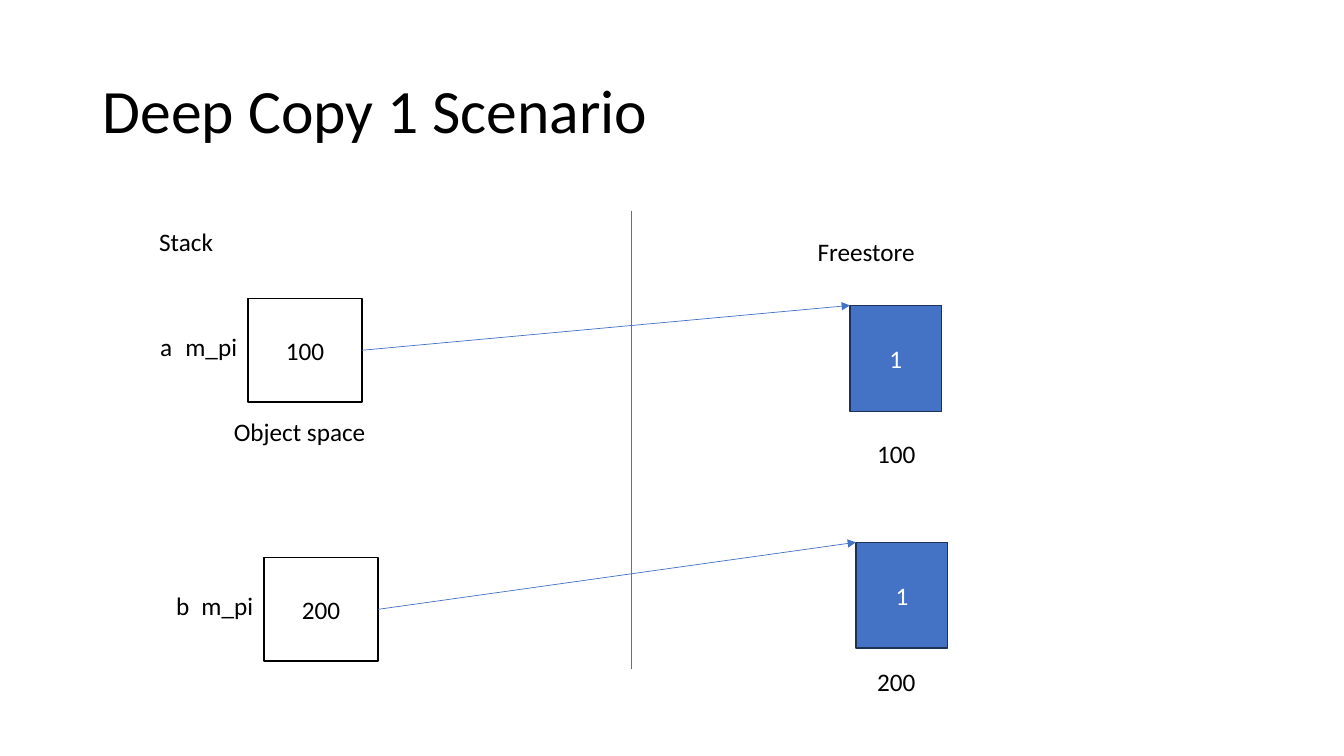
from lxml.etree import SubElement
from pptx import Presentation
from pptx.dml.color import RGBColor
from pptx.enum.shapes import MSO_CONNECTOR as CONN, MSO_SHAPE as SHAPE
from pptx.enum.text import MSO_ANCHOR as ANCHOR, MSO_AUTO_SIZE as AUTO, PP_ALIGN as ALIGN
from pptx.oxml.ns import qn
from pptx.util import Emu, Pt

FONT = "Calibri"
BLACK, WHITE, BLUE, NAVY = "000000", "FFFFFF", "4472C4", "1E3256"
LABEL_H = 40


def px(n):
    """Turn px, 100 to the inch, into EMU."""
    return Emu(n * 9144)


def color(hex_code):
    """Turn a hex string into a colour."""
    return RGBColor.from_string(hex_code)


def add_run(p, text, size=18, ink=BLACK):
    """Add one formatted run to a paragraph."""
    r = p.add_run()
    r.text = text
    r.font.name = FONT
    r.font.size = Pt(size)
    r.font.color.rgb = color(ink)


def add_label(slide, x, y, w, text):
    """Add a one-line label."""
    sp = slide.shapes.add_textbox(px(x), px(y), px(w), px(LABEL_H))
    tf = sp.text_frame
    tf.word_wrap = False
    tf.auto_size = AUTO.SHAPE_TO_FIT_TEXT
    add_run(tf.paragraphs[0], text)


def add_cell(slide, box, text, fill, line, ink):
    """Add a memory cell with a centred value."""
    sp = slide.shapes.add_shape(SHAPE.RECTANGLE, *map(px, box))
    sp.shadow.inherit = False
    sp.fill.solid()
    sp.fill.fore_color.rgb = color(fill)
    sp.line.color.rgb = color(line)
    sp.line.width = Pt(1)
    tf = sp.text_frame
    tf.vertical_anchor = ANCHOR.MIDDLE
    p = tf.paragraphs[0]
    p.alignment = ALIGN.CENTER
    add_run(p, text, ink=ink)
    return sp


def add_line(slide, x1, y1, x2, y2):
    """Add a thin straight line without shadow."""
    cx = slide.shapes.add_connector(CONN.STRAIGHT, px(x1), px(y1), px(x2), px(y2))
    cx.line.color.rgb = color(BLUE)
    cx.line.width = Pt(0.5)
    SubElement(cx._element.spPr, qn("a:effectLst"))
    return cx


def add_title(slide, box, text):
    """Place and fill the title placeholder."""
    sp = slide.shapes.title
    sp.left, sp.top, sp.width, sp.height = map(px, box)
    tf = sp.text_frame
    tf.auto_size = AUTO.NONE
    tf.vertical_anchor = ANCHOR.MIDDLE
    p = tf.paragraphs[0]
    p.alignment = ALIGN.LEFT
    p.line_spacing = 0.9
    add_run(p, text, 44)


def add_pointer(slide, stack_box, store_box, name, address, address_y):
    """Draw an object on the stack pointing to its value on the freestore."""
    x, y, w, h = stack_box
    store_x, store_y = store_box[:2]
    pointer = add_cell(slide, stack_box, address, WHITE, BLACK, BLACK)
    add_label(slide, x - 97, y + 28, 33, name)
    add_label(slide, x - 72, y + 28, 72, "m_pi")
    add_cell(slide, store_box, "1", BLUE, NAVY, WHITE)
    add_label(slide, 860, address_y, 59, address)
    arrow = add_line(slide, x + w, y + h // 2, store_x, store_y)
    arrow.begin_connect(pointer, 3)
    SubElement(arrow.line._get_or_add_ln(), qn("a:tailEnd"), type="triangle")


def main():
    """Build and save the slide."""
    prs = Presentation()
    prs.slide_width, prs.slide_height = px(1333), px(750)
    slide = prs.slides.add_slide(prs.slide_layouts[5])
    add_title(slide, (92, 40, 1150, 145), "Deep Copy 1 Scenario")
    add_line(slide, 626, 209, 626, 664)
    add_label(slide, 148, 220, 74, "Stack")
    add_label(slide, 801, 230, 118, "Freestore")
    add_pointer(slide, (246, 296, 113, 103), (843, 303, 91, 105), "a", "100", 430)
    add_label(slide, 222, 408, 152, "Object space")
    add_pointer(slide, (262, 553, 113, 103), (849, 538, 91, 105), "b", "200", 656)
    prs.save("out.pptx")


if __name__ == "__main__":
    main()
